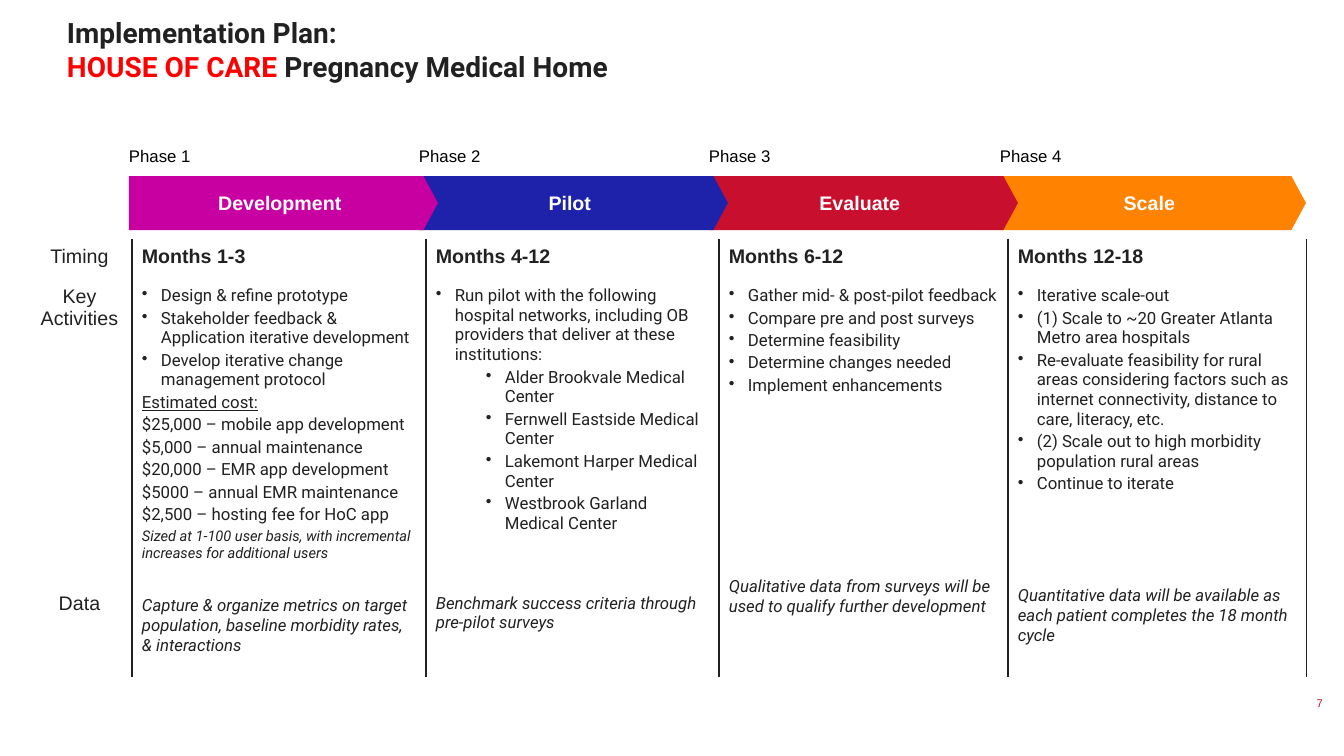
from lxml import etree
from pptx import Presentation
from pptx import util as u
from pptx.dml.color import RGBColor
from pptx.enum import shapes, text
from pptx.oxml.ns import qn

THEME = {
    "ink": "212121", "hot": "FF0000", "page": "C8102E",
    "white": "FFFFFF", "black": "000000",
    "head": "Arial", "body": "Roboto",
    "title": 20, "big": 14, "mid": 12, "fine": 10.5, "tiny": 8,
}
TITLE = [("Implementation Plan:", "ink"), ("HOUSE OF CARE ", "hot"),
         ("Pregnancy Medical Home", "ink")]
PAGE = "7"
LABELS = ("Timing", "Key Activities", "Data")
LABEL_GAP = 263
PHASES = [
    {"name": "Development", "color": "C800A1", "time": "Months 1-3", "wide": 294,
     "tasks": [
         ("dot", "Design & refine prototype"),
         ("dot", "Stakeholder feedback & Application iterative development"),
         ("dot", "Develop iterative change management protocol"),
         ("under", "Estimated cost:"),
         ("plain", "$25,000 – mobile app development"),
         ("plain", "$5,000 – annual maintenance"),
         ("plain", "$20,000 – EMR app development"),
         ("plain", "$5000 – annual EMR maintenance"),
         ("plain", "$2,500 – hosting fee for HoC app"),
         ("fine", "Sized at 1-100 user basis, with incremental increases for additional users")],
     "gap": 33,
     "data": "Capture & organize metrics on target population, baseline morbidity rates, & interactions"},
    {"name": "Pilot", "color": "1E22AA", "time": "Months 4-12", "wide": 293,
     "tasks": [
         ("dot", "Run pilot with the following hospital networks, including OB providers "
                 "that deliver at these institutions:"),
         ("sub", "Alder Brookvale Medical Center"),
         ("sub", "Fernwell Eastside Medical Center"),
         ("sub", "Lakemont Harper Medical Center"),
         ("sub", "Westbrook Garland Medical Center")],
     "gap": 59,
     "data": "Benchmark success criteria through pre-pilot surveys"},
    {"name": "Evaluate", "color": "C8102E", "time": "Months 6-12", "wide": 289,
     "tasks": [
         ("dot", "Gather mid- & post-pilot feedback"),
         ("dot", "Compare pre and post surveys"),
         ("dot", "Determine feasibility"),
         ("dot", "Determine changes needed"),
         ("dot", "Implement enhancements")],
     "gap": 180,
     "data": "Qualitative data from surveys will be used to qualify further development"},
    {"name": "Scale", "color": "FF8200", "time": "Months 12-18", "wide": 299,
     "tasks": [
         ("dot", "Iterative scale-out"),
         ("dot", "(1) Scale to ~20 Greater Atlanta Metro area hospitals"),
         ("dot", "Re-evaluate feasibility for rural areas considering factors such as "
                 "internet connectivity, distance to care, literacy, etc."),
         ("dot", "(2) Scale out to high morbidity population rural areas"),
         ("dot", "Continue to iterate")],
     "gap": 91,
     "data": "Quantitative data will be available as each patient completes the 18 month cycle"},
]
STYLES = {
    "dot": {"dent": 19}, "sub": {"dent": 69}, "under": {"under": True},
    "plain": {}, "fine": {"size": "fine", "slant": True},
}
LEFT, RIGHT, SPAN = 129, 1306, 871
ARROW_Y, ARROW_W, ARROW_H = 176, 309, 54


def px(n):
    return u.Emu(round(n * 914400 / 100.8))


def put(para, words, size="mid", font="body", color="ink", bold=False,
        slant=False, under=False, align=None, dent=0, above=None, below=None):
    run = para.add_run()
    run.text = words
    face = run.font
    face.size, face.name = u.Pt(THEME[size]), THEME[font]
    face.bold, face.italic, face.underline = bold, slant, under
    face.color.rgb = RGBColor.from_string(THEME.get(color, color))
    if align:
        para.alignment = getattr(text.PP_ALIGN, align)
    if above is not None:
        para.space_before = above
    if below is not None:
        para.space_after = below
    if dent:
        props = para._p.get_or_add_pPr()
        props.set("marL", str(px(dent)))
        props.set("indent", str(-px(19)))
        tint = etree.SubElement(props, qn("a:buClr"))
        etree.SubElement(tint, qn("a:srgbClr"), val=THEME["ink"])
        etree.SubElement(props, qn("a:buChar"), char="•")


def pad(item, left, top, right, low):
    item.margin_left, item.margin_top = px(left), px(top)
    item.margin_right, item.margin_bottom = px(right), px(low)


def add_box(slide, x, y, w, h, wrap=True):
    frame = slide.shapes.add_textbox(px(x), px(y), px(w), px(h)).text_frame
    pad(frame, 0, 0, 0, 0)
    frame.word_wrap = wrap
    return frame


def rule(cell, sides):
    props = cell._tc.get_or_add_tcPr()
    for side in "LRTB":
        line = etree.SubElement(props, qn("a:ln" + side), w=str(u.Pt(1)))
        if side in sides:
            fill = etree.SubElement(line, qn("a:solidFill"))
            etree.SubElement(fill, qn("a:srgbClr"), val=THEME["ink"])
        else:
            etree.SubElement(line, qn("a:noFill"))
    cell.fill.background()


def add_grid(slide):
    cols = [95] + [phase["wide"] for phase in PHASES]
    rows = [35, 403]
    grid = slide.shapes.add_table(len(rows), len(cols), px(37), px(239),
                                  px(sum(cols)), px(sum(rows))).table
    grid.first_row = grid.horz_banding = False
    for col, wide in zip(grid.columns, cols):
        col.width = px(wide)
    for row, high in zip(grid.rows, rows):
        row.height = px(high)
    for r in range(len(rows)):
        for c in range(len(cols)):
            cell = grid.cell(r, c)
            rule(cell, "LR" if c else "R")
            pad(cell, 10 if c else 0, 12 if r else 5, 10, 5)
            cell.vertical_anchor = text.MSO_ANCHOR.TOP if r else text.MSO_ANCHOR.MIDDLE
    label = {"size": "big", "font": "head", "align": "CENTER"}
    time, tasks, data = LABELS
    put(grid.cell(0, 0).text_frame.paragraphs[0], time, **label)
    side = grid.cell(1, 0).text_frame
    put(side.paragraphs[0], tasks, **label)
    put(side.add_paragraph(), data, above=px(LABEL_GAP), **label)
    for c, phase in enumerate(PHASES, 1):
        put(grid.cell(0, c).text_frame.paragraphs[0], phase["time"],
            size="big", font="head", bold=True)
        frame = grid.cell(1, c).text_frame
        for i, (style, words) in enumerate(phase["tasks"]):
            para = frame.add_paragraph() if i else frame.paragraphs[0]
            put(para, words, above=u.Pt(1), below=u.Pt(1), **STYLES[style])
        put(frame.add_paragraph(), phase["data"], slant=True,
            above=px(phase["gap"]), below=u.Pt(1))


def add_arrow(slide, x, phase):
    arrow = slide.shapes.add_shape(
        shapes.MSO_SHAPE.PENTAGON, px(x), px(ARROW_Y),
        px(min(ARROW_W, RIGHT - x)), px(ARROW_H))
    arrow.adjustments[0] = 0.27
    arrow.shadow.inherit = False
    arrow.fill.solid()
    arrow.fill.fore_color.rgb = RGBColor.from_string(phase["color"])
    arrow.line.fill.background()
    frame = arrow.text_frame
    pad(frame, 16, 8, 16, 8)
    frame.vertical_anchor = text.MSO_ANCHOR.MIDDLE
    put(frame.paragraphs[0], phase["name"], size="big", font="head",
        color="white", bold=True, align="CENTER")


def main():
    deck = Presentation()
    deck.slide_width, deck.slide_height = px(1344), px(756)
    slide = deck.slides.add_slide(deck.slide_layouts[6])
    page = add_box(slide, 1283, 685, 40, 36)
    page.vertical_anchor = text.MSO_ANCHOR.MIDDLE
    put(page.paragraphs[0], PAGE, size="tiny", font="head", color="page", align="RIGHT")
    head = add_box(slide, 67, 16, 1118, 67).paragraphs[0]
    for i, (words, color) in enumerate(TITLE):
        put(head, words, size="title", color=color, bold=True)
        if i == 0:
            head.add_line_break()
    add_grid(slide)
    spots = [LEFT + i * SPAN // 3 for i in range(len(PHASES))]
    for x, phase in reversed(list(zip(spots, PHASES))):
        add_arrow(slide, x, phase)
    for i, x in enumerate(spots, 1):
        frame = add_box(slide, x, 146, 290, 30, wrap=False)
        put(frame.paragraphs[0], f"Phase {i}", font="head", color="black")
    deck.save("out.pptx")


if __name__ == "__main__":
    main()
